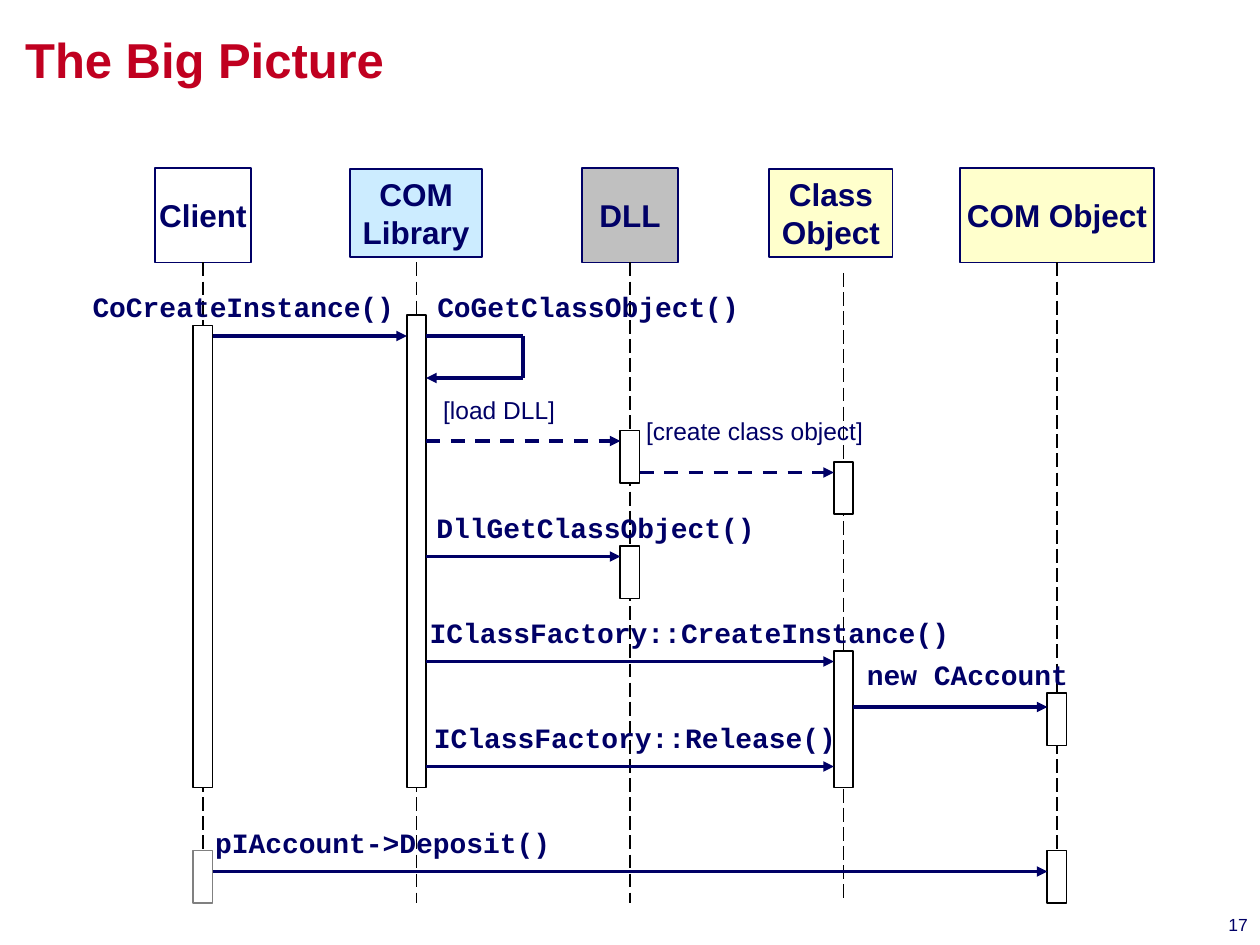
from lxml import etree
from pptx import Presentation
from pptx.dml.color import RGBColor
from pptx.enum import dml, shapes, text
from pptx.oxml import ns
from pptx.util import Pt

NAVY = RGBColor(0x00, 0x00, 0x66)
RED = RGBColor(0xC0, 0x00, 0x20)
BLACK = RGBColor(0x00, 0x00, 0x00)
WHITE = RGBColor(0xFF, 0xFF, 0xFF)
GRAY = RGBColor(0x80, 0x80, 0x80)
SILVER = RGBColor(0xC0, 0xC0, 0xC0)
SKY = RGBColor(0xCC, 0xEC, 0xFF)
CREAM = RGBColor(0xFF, 0xFF, 0xCC)

TITLE = "The Big Picture"
PAGE = "17"
CLIENT, LIBRARY, DLL, FACTORY, OBJECT = range(5)
FIRST_X, STEP, BAR_W = 116, 122, 11
LOOP_X = 299

# name, left, top, width, height, fill, lifeline top, lifeline bottom
HEADS = [
    ("Client", 88.5, 96, 55, 54, WHITE, 150, 510),
    ("COM\nLibrary", 200, 96.5, 75.5, 50.5, SKY, 150, 516),
    ("DLL", 332.5, 96, 55, 54, SILVER, 150, 516),
    ("Class\nObject", 439.5, 96.5, 70.5, 50.5, CREAM, 156, 516),
    ("COM Object", 548.5, 96, 111, 54, CREAM, 150, 510),
]
BARS = [
    (CLIENT, 186, 450, BLACK), (CLIENT, 486, 516, GRAY),
    (LIBRARY, 180, 450, BLACK),
    (DLL, 246, 276, BLACK), (DLL, 312, 342, BLACK),
    (FACTORY, 264, 294, BLACK), (FACTORY, 372, 450, BLACK),
    (OBJECT, 396, 426, BLACK), (OBJECT, 486, 516, BLACK),
]
ARROWS = [
    (CLIENT, LIBRARY, 192, False),
    (LIBRARY, DLL, 252, True),
    (DLL, FACTORY, 270, True),
    (LIBRARY, DLL, 318, False),
    (LIBRARY, FACTORY, 378, False),
    (FACTORY, OBJECT, 404, False),
    (LIBRARY, FACTORY, 438, False),
    (CLIENT, OBJECT, 498, False),
]
CALLS = [
    ("CoCreateInstance()", 45.5, 162),
    ("CoGetClassObject()", 242.5, 162),
    ("DllGetClassObject()", 242, 288),
    ("IClassFactory::CreateInstance()", 238, 348),
    ("new CAccount", 488, 372),
    ("IClassFactory::Release()", 240.5, 408),
    ("pIAccount->Deposit()", 115.5, 468),
]
NOTES = [("[load DLL]", 246, 222, 78.5), ("[create class object]", 362, 234, 138.5)]


def axis(i):
    return FIRST_X + i * STEP


def write(s, words, size, font="Arial", bold=False, color=NAVY, align=text.PP_ALIGN.CENTER):
    tf = s.text_frame
    tf.text = words
    for p in tf.paragraphs:
        p.alignment = align
        for r in p.runs:
            f = r.font
            f.size, f.name, f.bold, f.color.rgb = Pt(size), font, bold, color
    return tf


def box(s, left, top, width, height, fill, line):
    sp = s.add_shape(shapes.MSO_SHAPE.RECTANGLE, Pt(left), Pt(top), Pt(width), Pt(height))
    sp.shadow.inherit = False
    sp.fill.solid()
    sp.fill.fore_color.rgb = fill
    sp.line.color.rgb = line
    sp.line.width = Pt(1)
    return sp


def connect(s, x1, y1, x2, y2, color=NAVY, width=2, dash=None, arrow=False):
    c = s.add_connector(shapes.MSO_CONNECTOR.STRAIGHT, Pt(x1), Pt(y1), Pt(x2), Pt(y2))
    c.line.color.rgb = color
    c.line.width = Pt(width)
    if dash:
        c.line.dash_style = dash
    if arrow:
        etree.SubElement(c.line._get_or_add_ln(), ns.qn("a:tailEnd"), type="triangle")
    etree.SubElement(c._element.spPr, ns.qn("a:effectLst"))
    return c


def label(s, words, left, top, width, height, size, font, bold):
    tb = s.add_textbox(Pt(left), Pt(top), Pt(width), Pt(height))
    tf = write(tb, words, size, font, bold)
    tf.word_wrap = False
    tf.vertical_anchor = text.MSO_ANCHOR.MIDDLE
    tf.auto_size = text.MSO_AUTO_SIZE.SHAPE_TO_FIT_TEXT


def main():
    prs = Presentation()
    prs.slide_width, prs.slide_height = Pt(720), Pt(540)
    slide = prs.slides.add_slide(prs.slide_layouts[5])
    s = slide.shapes

    title = s.title
    title.left, title.top, title.width, title.height = Pt(0), Pt(0), Pt(720), Pt(72)
    tf = write(title, TITLE, 28, bold=True, color=RED, align=text.PP_ALIGN.LEFT)
    tf.auto_size = text.MSO_AUTO_SIZE.NONE
    tf.vertical_anchor = text.MSO_ANCHOR.TOP
    tf.margin_left, tf.margin_top = Pt(14.4), Pt(17)
    tf.margin_right, tf.margin_bottom = Pt(142), Pt(10)

    number = s.add_textbox(Pt(461), Pt(518.5), Pt(252), Pt(12))
    tf = write(number, PAGE, 10, align=text.PP_ALIGN.RIGHT)
    tf.word_wrap = True
    tf.margin_left = tf.margin_right = 0

    for i, (name, left, top, width, height, fill, start, end) in enumerate(HEADS):
        head = box(s, left, top, width, height, fill, NAVY)
        tf = write(head, name, 18, bold=True)
        tf.word_wrap = False
        tf.vertical_anchor = text.MSO_ANCHOR.MIDDLE
        lifeline = connect(s, axis(i), start, axis(i), end, BLACK, 1, dml.MSO_LINE.LONG_DASH)
        if (left + width / 2, top + height) == (axis(i), start):
            lifeline.begin_connect(head, 2)

    for i, top, bottom, line in BARS:
        box(s, axis(i) - BAR_W / 2, top, BAR_W, bottom - top, WHITE, line)

    for a, b, y, dashed in ARROWS:
        dash = dml.MSO_LINE.DASH if dashed else None
        connect(s, axis(a) + BAR_W / 2, y, axis(b) - BAR_W / 2, y, dash=dash, arrow=True)

    edge = axis(LIBRARY) + BAR_W / 2
    loop = [(edge, 192), (LOOP_X, 192), (LOOP_X, 216), (edge, 216)]
    for k, (start, end) in enumerate(zip(loop, loop[1:])):
        connect(s, *start, *end, arrow=k == 2)

    for words, left, top in CALLS:
        label(s, words, left, top, len(words) * 9.6 + 14.4, 26.5, 16, "Courier New", True)
    for words, left, top, width in NOTES:
        label(s, words, left, top, width, 24.5, 14, "Arial", False)

    prs.save("out.pptx")


if __name__ == "__main__":
    main()
